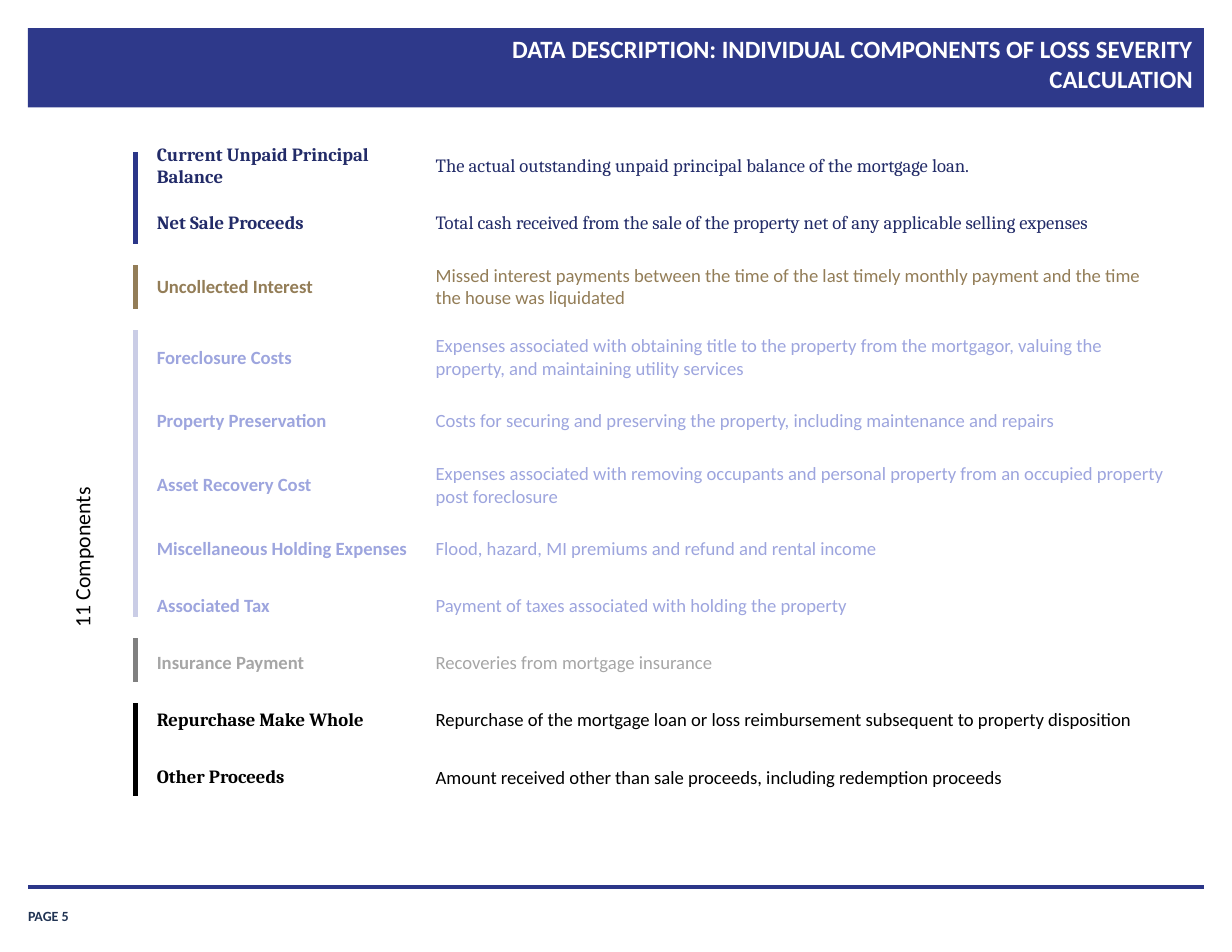
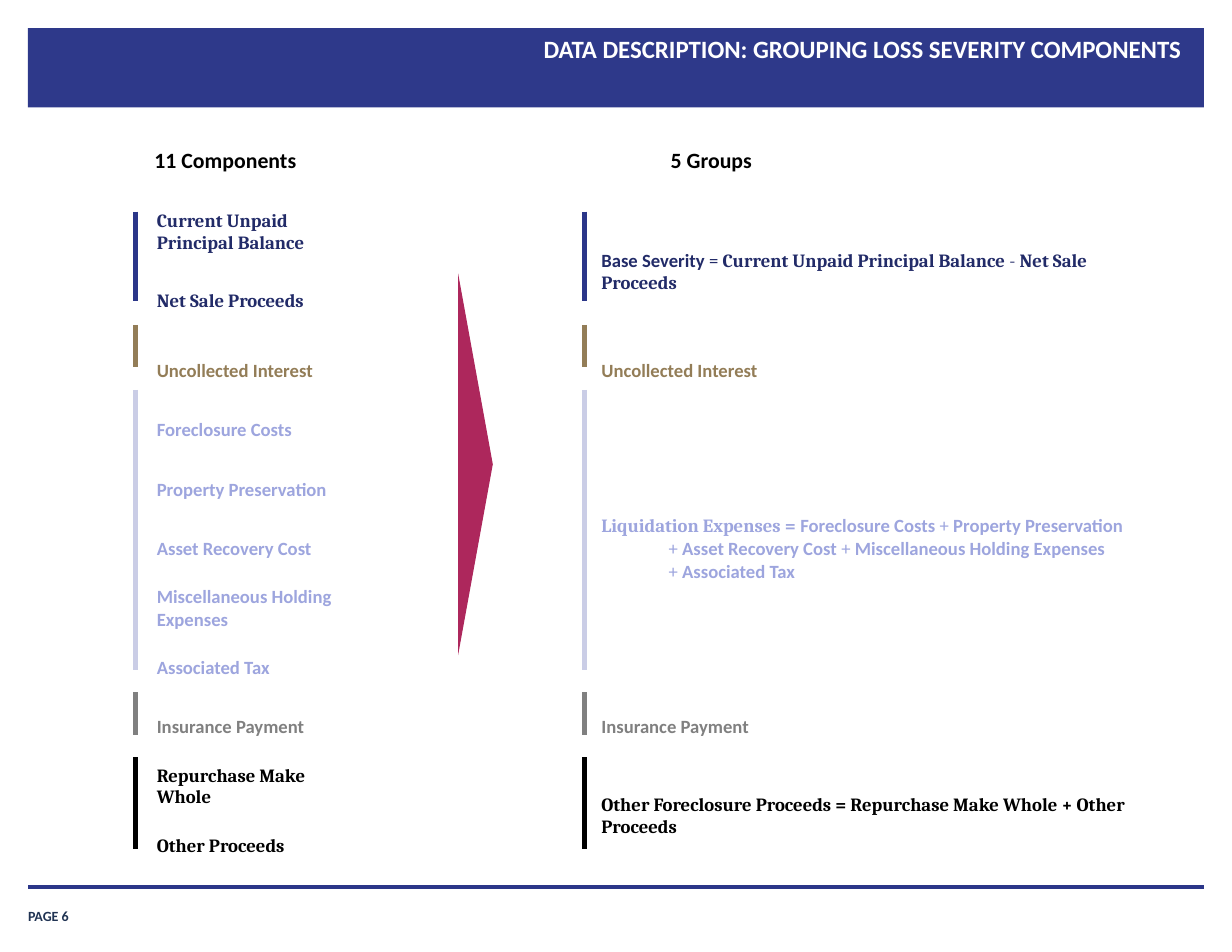
"""Build two slides on the components and groups of loss severity."""
from lxml import etree
from pptx import Presentation
from pptx.dml.color import RGBColor
from pptx.enum.shapes import MSO_CONNECTOR, MSO_SHAPE
from pptx.enum.text import MSO_ANCHOR, PP_ALIGN
from pptx.oxml.ns import qn
from pptx.util import Inches, Pt

STRAIGHT = MSO_CONNECTOR.STRAIGHT
RECTANGLE = MSO_SHAPE.RECTANGLE
TRIANGLE = MSO_SHAPE.ISOSCELES_TRIANGLE
TOP, MIDDLE, BOTTOM = MSO_ANCHOR.TOP, MSO_ANCHOR.MIDDLE, MSO_ANCHOR.BOTTOM
LEFT, RIGHT = PP_ALIGN.LEFT, PP_ALIGN.RIGHT

SANS, SERIF = "Calibri", "Cambria"
WHITE, BLACK = "FFFFFF", "000000"
BAND, NAVY, PAGE_INK, ARROW = "2E398A", "2B3689", "203353", "AD275C"
BASE_INK, INTEREST, EXPENSE_INK = "222B68", "937D57", "9DA5DE"
EXPENSE_BAR, GRAY, LIGHT_GRAY = "CACDE6", "808080", "A6A6A6"
BAR_COLORS = [NAVY, INTEREST, EXPENSE_BAR, GRAY, BLACK]


def color(value):
    return RGBColor.from_string(value)


def write(para, text, size=12, font=SANS, ink=BLACK, bold=False):
    span = para.add_run()
    span.text = text
    span.font.size = Pt(size)
    span.font.name = font
    span.font.bold = bold
    span.font.color.rgb = color(ink)


components = [
    ("Current Unpaid Principal Balance", SERIF, BASE_INK,
     "The actual outstanding unpaid principal balance of the mortgage loan."),
    ("Net Sale Proceeds", SERIF, BASE_INK,
     "Total cash received from the sale of the property net of any applicable selling expenses"),
    ("Uncollected Interest", SANS, INTEREST,
     "Missed interest payments between the time of the last timely monthly payment "
     "and the time the house was liquidated"),
    ("Foreclosure Costs", SANS, EXPENSE_INK,
     "Expenses associated with obtaining title to the property from the mortgagor, "
     "valuing the property, and maintaining utility services"),
    ("Property Preservation", SANS, EXPENSE_INK,
     "Costs for securing and preserving the property, including maintenance and repairs"),
    ("Asset Recovery Cost", SANS, EXPENSE_INK,
     "Expenses associated with removing occupants and personal property "
     "from an occupied property post foreclosure"),
    ("Miscellaneous Holding Expenses", SANS, EXPENSE_INK,
     "Flood, hazard, MI premiums and refund and rental income"),
    ("Associated Tax", SANS, EXPENSE_INK,
     "Payment of taxes associated with holding the property"),
    ("Insurance Payment", SANS, LIGHT_GRAY, "Recoveries from mortgage insurance"),
    ("Repurchase Make Whole", SERIF, BLACK,
     "Repurchase of the mortgage loan or loss reimbursement subsequent to property disposition"),
    ("Other Proceeds", SERIF, BLACK,
     "Amount received other than sale proceeds, including redemption proceeds"),
]

groups = [
    (0, 2, BASE_INK, [[
        ("Base Severity ", SANS, True), ("= ", SANS, False),
        ("Current Unpaid Principal Balance", SERIF, True),
        (" - ", SERIF, False), ("Net Sale Proceeds", SERIF, True)]]),
    (2, 1, INTEREST, [[("Uncollected Interest", SANS, True)]]),
    (3, 5, EXPENSE_INK, [
        [("Liquidation Expenses = ", SERIF, True), ("Foreclosure Costs ", SANS, True),
         ("+ ", SANS, False), ("Property Preservation", SANS, True)],
        [("+ ", SANS, False), ("Asset Recovery Cost", SANS, True),
         (" + ", SANS, False), ("Miscellaneous Holding Expenses", SANS, True)],
        [("+ ", SANS, False), ("Associated Tax", SANS, True)]]),
    (8, 1, GRAY, [[("Insurance Payment", SANS, True)]]),
    (9, 2, BLACK, [[
        ("Other Foreclosure Proceeds = Repurchase Make Whole + Other Proceeds", SERIF, True)]]),
]

layouts = [
    {"number": 5,
     "title": "DATA DESCRIPTION: INDIVIDUAL COMPONENTS OF LOSS SEVERITY CALCULATION",
     "title_inset": 0.11, "table_top": 1.23, "columns": [2.49, 6.76],
     "rows": [0.51, 0.51, 0.63, 0.63, 0.51, 0.63] + [0.51] * 5,
     "bar_x": [1.21],
     "bars": [(1.36, 2.18), (2.37, 2.76), (2.95, 5.51), (5.7, 6.09), (6.28, 7.11)],
     "labels": [("11 Components", -0.98, 3.77, 3.42, 270, False)]},
    {"number": 6,
     "title": "DATA DESCRIPTION: GROUPING LOSS SEVERITY COMPONENTS",
     "title_inset": 0.21, "table_top": 1.81, "columns": [1.96, 1.96, 5.32],
     "rows": [0.53, 0.71] + [0.53] * 9,
     "bar_x": [1.21, 5.22],
     "bars": [(1.89, 2.69), (2.9, 3.28), (3.48, 5.98), (6.18, 6.56), (6.76, 7.58)],
     "labels": [("11 Components", 1.28, 1.21, 1.85, 0, True),
                ("5 Groups", 5.89, 1.21, 1.85, 0, True)]},
]

deck = Presentation()
deck.slide_width, deck.slide_height = Inches(11), Inches(8.5)

for layout in layouts:
    page = deck.slides.add_slide(deck.slide_layouts[6])
    shapes = [(RECTANGLE, 0.25, 0.25, 10.5, 0.71, 0, BAND)]
    if layout["number"] == 6:
        shapes.append((TRIANGLE, 2.54, 3.99, 3.41, 0.31, 90, ARROW))

    table = page.shapes.add_table(
        len(components), len(layout["columns"]), Inches(1.3), Inches(layout["table_top"]),
        Inches(sum(layout["columns"])), Inches(sum(layout["rows"]))).table
    table.first_row = table.horz_banding = False
    for column, width in zip(table.columns, layout["columns"]):
        column.width = Inches(width)
    for row, height in zip(table.rows, layout["rows"]):
        row.height = Inches(height)
    for cell in table.iter_cells():
        cell.fill.solid()
        cell.fill.fore_color.rgb = color(WHITE)
        cell.vertical_anchor = MIDDLE

    for index, (name, font, ink, description) in enumerate(components):
        if layout["number"] == 6 and ink == LIGHT_GRAY:
            ink = GRAY
        write(table.cell(index, 0).text_frame.paragraphs[0], name, font=font, ink=ink, bold=True)
        if layout["number"] == 5:
            write(table.cell(index, 1).text_frame.paragraphs[0], description,
                  font=SERIF if ink == BASE_INK else SANS, ink=ink)

    if layout["number"] == 6:
        for start, count, ink, formula in groups:
            cell = table.cell(start, 2)
            if count > 1:
                cell.merge(table.cell(start + count - 1, 2))
            cell.margin_left = cell.margin_right = Inches(0.15)
            cell.margin_top = cell.margin_bottom = Inches(0.15)
            for line_index, spans in enumerate(formula):
                if line_index:
                    para = cell.text_frame.add_paragraph()
                    para._p.get_or_add_pPr().set("marL", str(Inches(0.6)))
                else:
                    para = cell.text_frame.paragraphs[0]
                for text, font, bold in spans:
                    write(para, text, font=font, ink=ink, bold=bold)

    for kind, left, top, width, height, turn, fill in shapes:
        shape = page.shapes.add_shape(
            kind, Inches(left), Inches(top), Inches(width), Inches(height))
        shape.rotation = turn
        shape.shadow.inherit = False
        shape.fill.solid()
        shape.fill.fore_color.rgb = color(fill)
        shape.line.fill.background()

    rules = [(0.25, 7.92, 10.75, 7.92, NAVY, 2)]
    for x in layout["bar_x"]:
        for (top, bottom), ink in zip(layout["bars"], BAR_COLORS):
            rules.append((x, top, x, bottom, ink, 3))
    for x1, y1, x2, y2, ink, weight in rules:
        rule = page.shapes.add_connector(STRAIGHT, Inches(x1), Inches(y1), Inches(x2), Inches(y2))
        rule.line.color.rgb = color(ink)
        rule.line.width = Pt(weight)
        etree.SubElement(rule._element.spPr, qn("a:effectLst"))

    boxes = [
        (layout["title"], (3.32, 0.24, 7.44, 0.74), 0, (0.11, 0.06, layout["title_inset"], 0.06),
         TOP, RIGHT, {"size": 16, "ink": WHITE, "bold": True}),
        (f"PAGE {layout['number']}", (0.25, 8.02, 0.91, 0.23), 0, (0, 0, 0, 0),
         BOTTOM, LEFT, {"size": 9, "ink": PAGE_INK, "bold": True}),
    ]
    for text, left, top, width, turn, bold in layout["labels"]:
        boxes.append((text, (left, top, width, 0.44), turn, (0.1, 0.05, 0.1, 0.05),
                      MIDDLE, LEFT, {"size": 14, "bold": bold}))
    for text, place, turn, insets, anchor, align, style in boxes:
        box = page.shapes.add_textbox(*map(Inches, place))
        box.rotation = turn
        frame = box.text_frame
        frame.word_wrap = True
        frame.vertical_anchor = anchor
        (frame.margin_left, frame.margin_top,
         frame.margin_right, frame.margin_bottom) = map(Inches, insets)
        frame.paragraphs[0].alignment = align
        write(frame.paragraphs[0], text, **style)

deck.save("out.pptx")
